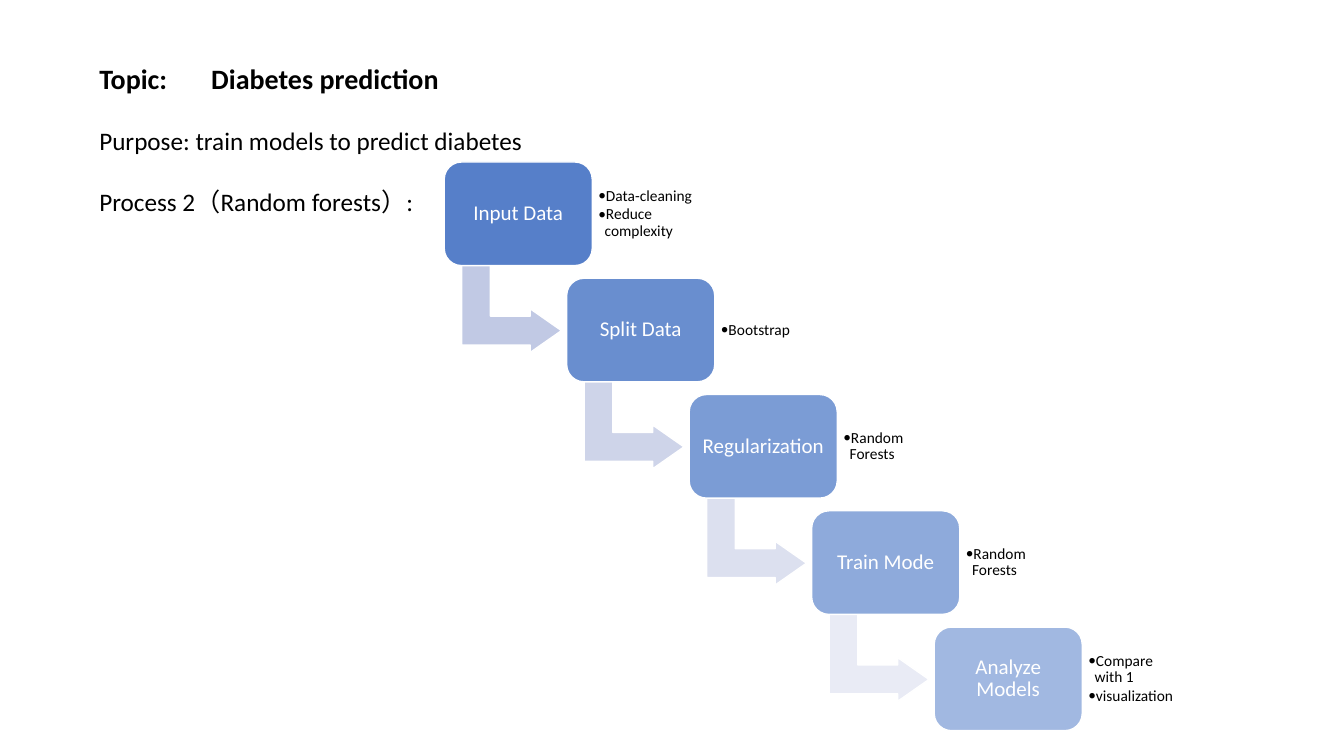
from lxml import etree
from pptx import Presentation
from pptx.dml.color import RGBColor
from pptx.enum.shapes import MSO_SHAPE
from pptx.enum.text import MSO_ANCHOR, MSO_AUTO_SIZE, PP_ALIGN
from pptx.oxml.ns import qn
from pptx.util import Pt

ROUNDED = MSO_SHAPE.ROUNDED_RECTANGLE
BENT_ARROW = MSO_SHAPE.BENT_UP_ARROW
MIDDLE = MSO_ANCHOR.MIDDLE
GROW = MSO_AUTO_SIZE.SHAPE_TO_FIT_TEXT
LEFT, CENTER = PP_ALIGN.LEFT, PP_ALIGN.CENTER

FONT = "Calibri"
COLORS = {"step": "4472C4", "white": "FFFFFF", "text": "000000"}
ARROW_COLORS = ["C1C9E4", "CED4E9", "DCE0EF", "E9EBF5"]
INSET = Pt(4.3)
FRAME_FORMAT = {
    "word_wrap": True, "vertical_anchor": MIDDLE,
    "margin_left": INSET, "margin_right": INSET,
    "margin_top": INSET, "margin_bottom": INSET,
}
STEP_FORMAT = {"alignment": CENTER, "line_spacing": 0.9}
DETAIL_FORMAT = {"alignment": LEFT, "line_spacing": 0.9, "space_after": Pt(1.5)}

HEADING = [
    ("Topic:\tDiabetes prediction", 20, True, 0),
    ("Purpose: train models to predict diabetes", 18, False, 21.8),
    ("Process 2（Random forests）:", 18, False, 21.8),
]
STEPS = [
    ("Input Data", ["Data-cleaning", "Reduce complexity"]),
    ("Split Data", ["Bootstrap"]),
    ("Regularization", ["Random Forests"]),
    ("Train Mode", ["Random Forests"]),
    ("Analyze Models", ["Compare with 1", "visualization"]),
]
STEP_W, STEP_H = 105.8, 74
ARROW_W, ARROW_H = 62.6, 71.3
DETAIL_W, DETAIL_H = 77, 60


def apply(target, values):
    for key, value in values.items():
        setattr(target, key, value)


def write(paragraph, text, size, color, bold=False):
    run = paragraph.add_run()
    run.text = text
    apply(run.font, {"name": FONT, "size": Pt(size), "bold": bold})
    run.font.color.rgb = RGBColor.from_string(COLORS[color])


def paragraphs(frame, count):
    return [frame.paragraphs[0]] + [frame.add_paragraph() for _ in range(count - 1)]


def add_block(shapes, kind, left, top, width, height, color):
    block = shapes.add_shape(kind, Pt(left), Pt(top), Pt(width), Pt(height))
    block.shadow.inherit = False
    block.fill.solid()
    block.fill.fore_color.rgb = RGBColor.from_string(color)
    block.line.color.rgb = RGBColor.from_string(COLORS["white"])
    block.line.width = Pt(1)
    return block


def add_heading(shapes, left, top, width, height):
    heading = shapes.add_textbox(Pt(left), Pt(top), Pt(width), Pt(height))
    frame = heading.text_frame
    apply(frame, {"word_wrap": True, "auto_size": GROW})
    for paragraph, (text, size, bold, gap) in zip(paragraphs(frame, len(HEADING)), HEADING):
        paragraph.space_before = Pt(gap)
        write(paragraph, text, size, "text", bold)
    tabs = etree.SubElement(frame.paragraphs[0]._p.get_or_add_pPr(), qn("a:tabLst"))
    etree.SubElement(tabs, qn("a:tab"), pos=str(Pt(80)), algn="l")


def add_arrow(shapes, left, top, color):
    arrow = add_block(shapes, BENT_ARROW, left, top, ARROW_W, ARROW_H, color)
    arrow.rotation = 90
    for index, value in enumerate([0.328, 0.25, 0.358]):
        arrow.adjustments[index] = value


def add_step(shapes, left, top, label, opacity):
    step = add_block(shapes, ROUNDED, left, top, STEP_W, STEP_H, COLORS["step"])
    step.adjustments[0] = 0.167
    tint = step.fill._xPr.find(qn("a:solidFill"))[0]
    etree.SubElement(tint, qn("a:alpha"), val=str(opacity * 1000))
    apply(step.text_frame, FRAME_FORMAT)
    paragraph = step.text_frame.paragraphs[0]
    apply(paragraph, STEP_FORMAT)
    write(paragraph, label, 15, "white")


def add_details(shapes, left, top, details):
    notes = shapes.add_textbox(Pt(left), Pt(top), Pt(DETAIL_W), Pt(DETAIL_H))
    apply(notes.text_frame, FRAME_FORMAT)
    for paragraph, detail in zip(paragraphs(notes.text_frame, len(details)), details):
        apply(paragraph, DETAIL_FORMAT)
        properties = paragraph._p.get_or_add_pPr()
        properties.set("marL", str(Pt(4.5)))
        properties.set("indent", str(Pt(-4.5)))
        etree.SubElement(properties, qn("a:buFont"), typeface=FONT)
        etree.SubElement(properties, qn("a:buChar"), char="•")
        write(paragraph, detail, 11, "text")


def add_staircase(shapes, left, top, width, height):
    staircase = shapes.add_group_shape().shapes
    last = len(STEPS) - 1
    across = (width - STEP_W - DETAIL_W) / last
    down = (height - STEP_H) / last
    for index, (label, details) in enumerate(STEPS):
        x, y = left + index * across, top + index * down
        if index < last:
            add_arrow(staircase, x + 16.8, y + 69.2, ARROW_COLORS[index])
        add_step(staircase, x, y, label, 90 - 10 * index)
        add_details(staircase, x + STEP_W, y + (STEP_H - DETAIL_H) / 2, details)


presentation = Presentation()
apply(presentation, {"slide_width": Pt(960), "slide_height": Pt(540)})
slide = presentation.slides.add_slide(presentation.slide_layouts[6])
add_heading(slide.shapes, 63.8, 40.1, 788.4, 118.8)
add_staircase(slide.shapes, 317.3, 115.7, 532.8, 406.2)
presentation.save("out.pptx")
